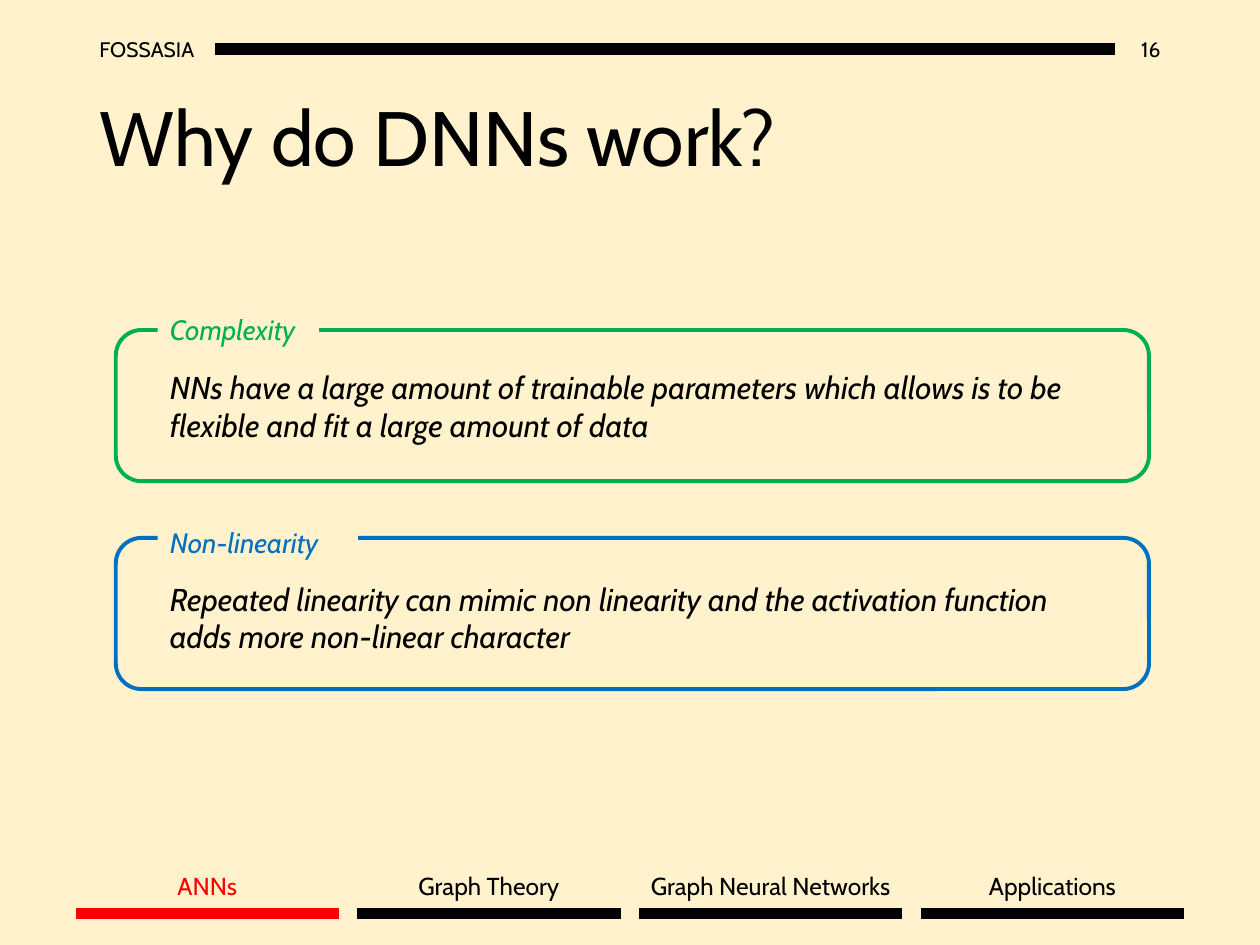
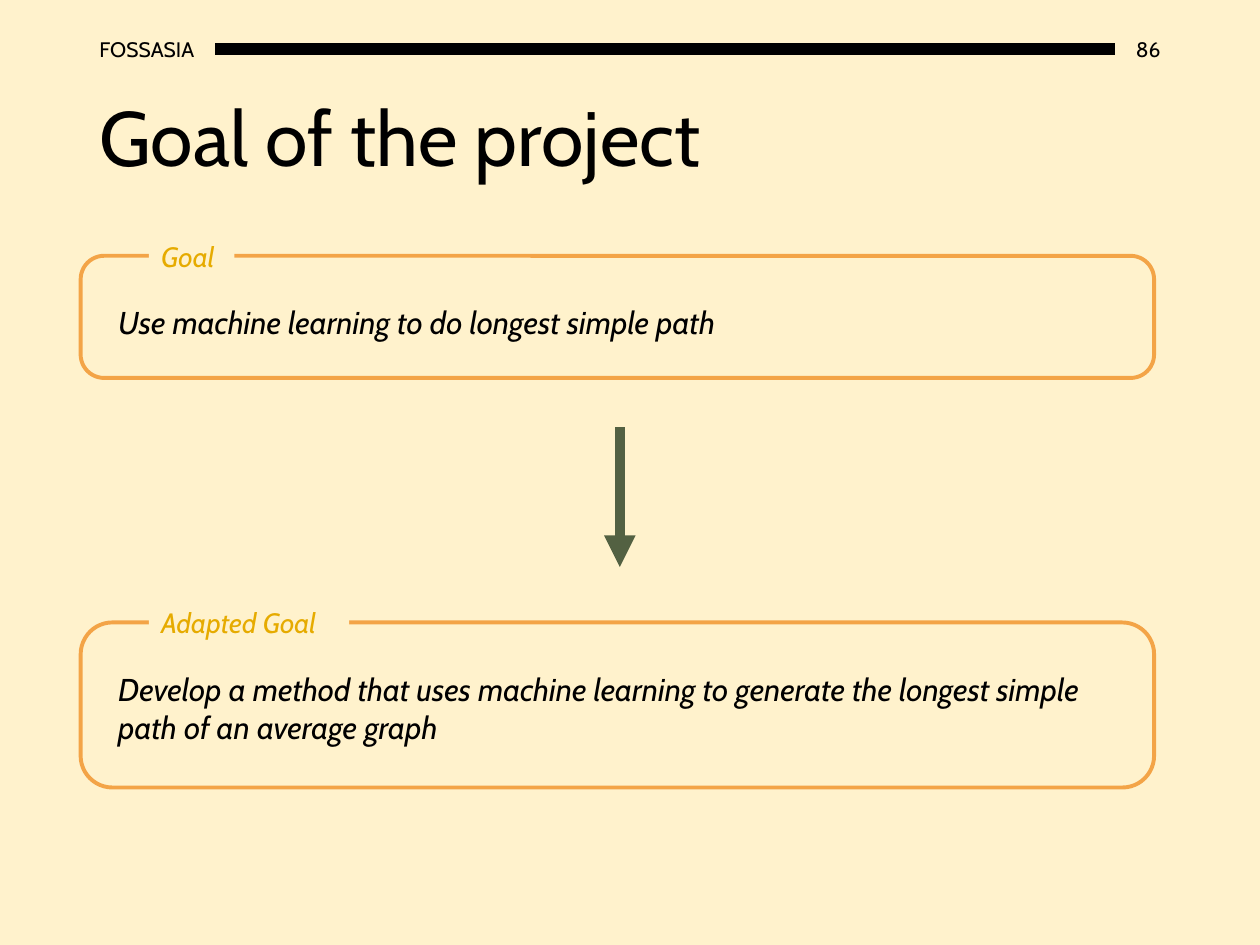
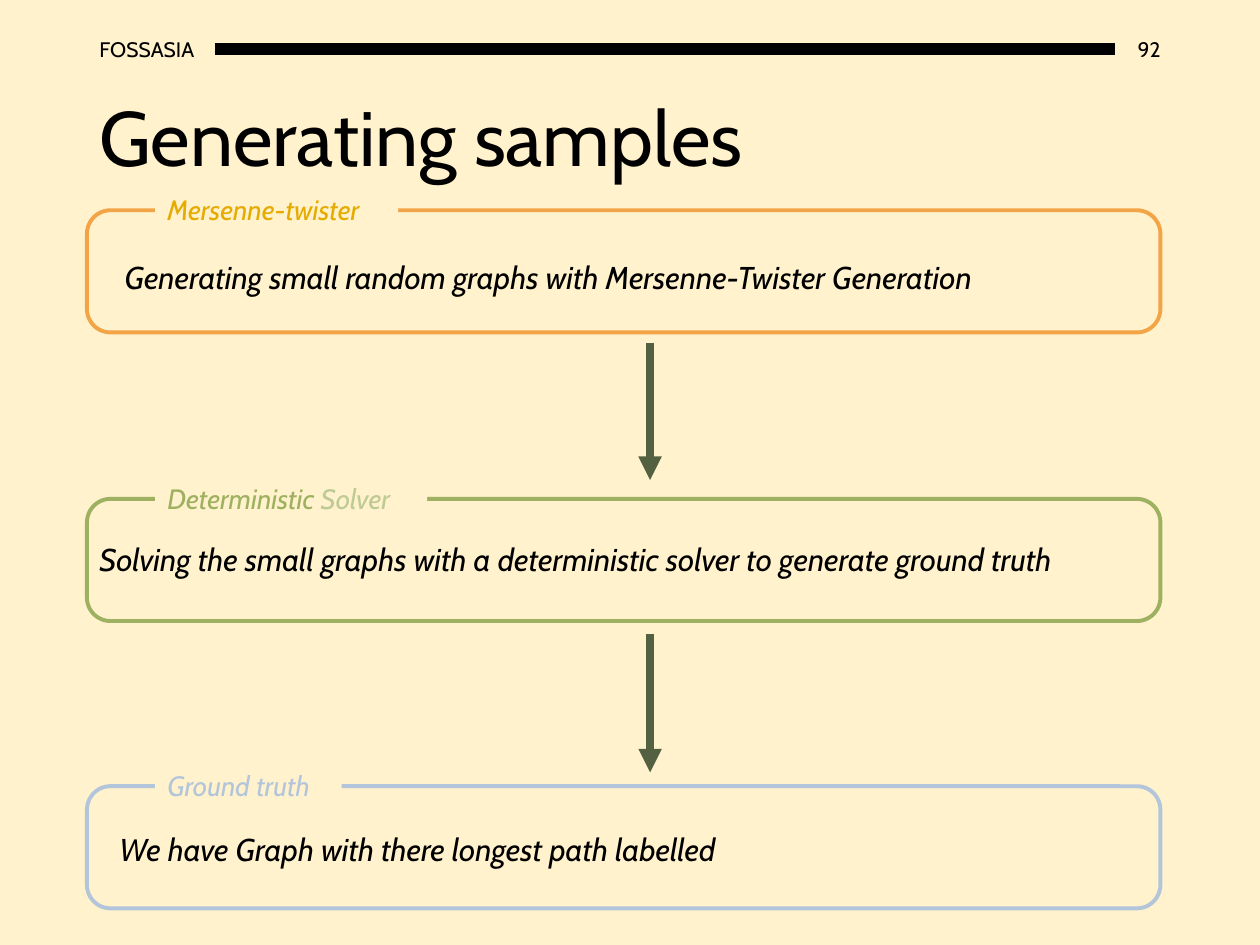
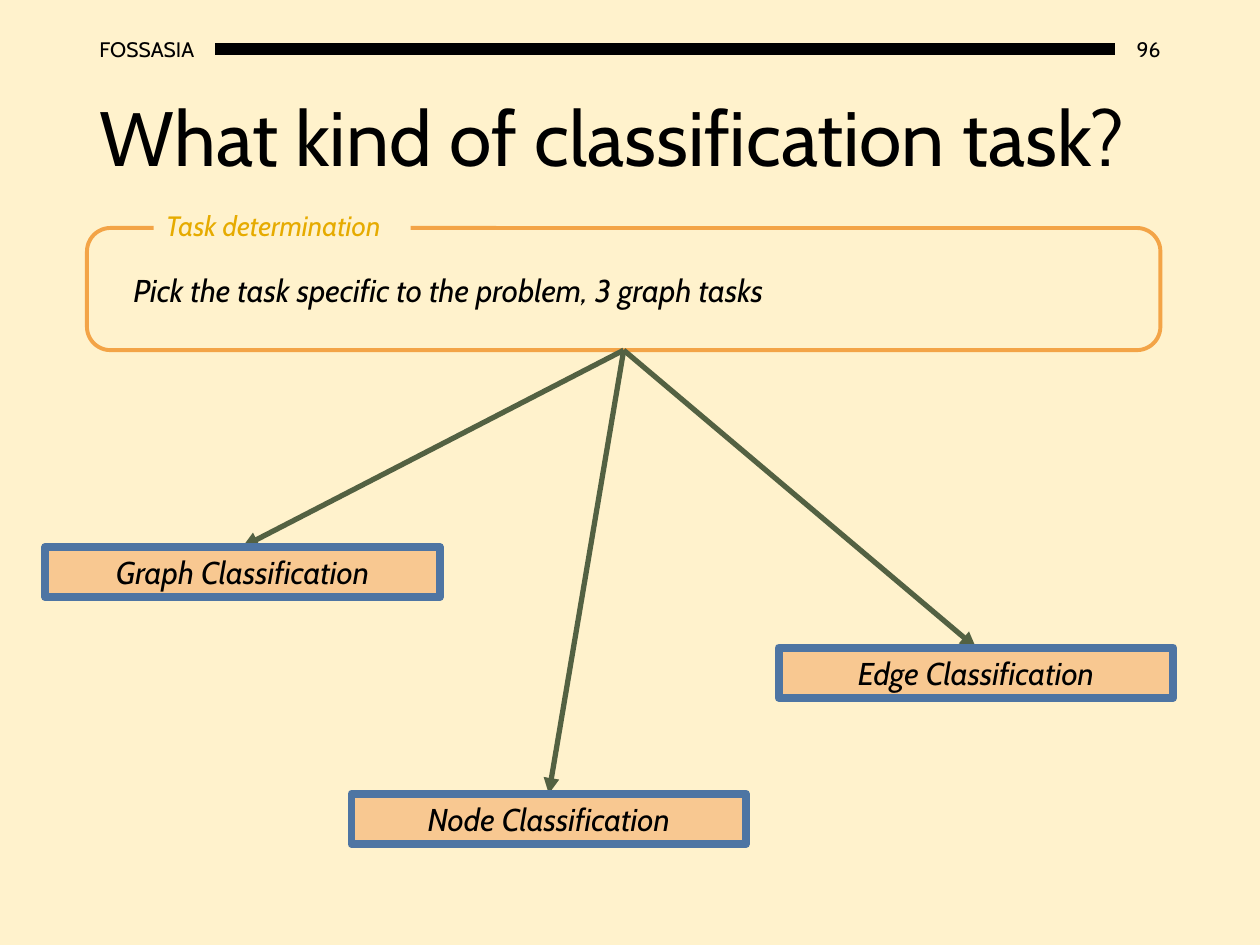
from lxml.etree import SubElement
from pptx import Presentation
from pptx.dml.color import RGBColor
from pptx.enum.shapes import MSO_CONNECTOR, MSO_SHAPE
from pptx.enum.text import MSO_ANCHOR, MSO_AUTO_SIZE, PP_ALIGN
from pptx.oxml.ns import qn
from pptx.util import Pt

FONT = "Cabin"
CREAM = RGBColor(0xFF, 0xF2, 0xCC)
BLACK = RGBColor(0x00, 0x00, 0x00)
RED = RGBColor(0xFF, 0x00, 0x00)
GREEN = RGBColor(0x00, 0xB0, 0x50)
BLUE = RGBColor(0x00, 0x70, 0xC0)
ORANGE = RGBColor(0xF3, 0xA4, 0x47)
GOLD = RGBColor(0xE6, 0xAB, 0x00)
OLIVE = RGBColor(0x9E, 0xB1, 0x60)
SAGE = RGBColor(0xBE, 0xCB, 0x95)
SKY = RGBColor(0xB3, 0xC5, 0xDA)
MOSS = RGBColor(0x53, 0x61, 0x42)
PEACH = RGBColor(0xF8, 0xC8, 0x91)
STEEL = RGBColor(0x4E, 0x75, 0xA3)

ROW, ROWS = 28.8, 51.1  # height of one and of two lines of body text


class Deck:
    def __init__(self):
        self.prs = Presentation()
        self.prs.slide_width, self.prs.slide_height = Pt(720), Pt(540)
        fill = self.prs.slide_master.background.fill
        fill.solid()
        fill.fore_color.rgb = CREAM

    def page(self, title, number):
        """Start a slide with its title and top band."""
        slide = self.prs.slides.add_slide(self.prs.slide_layouts[5])
        self.shapes = slide.shapes
        self.text(number, (637.2, 13.7, 33.1, ROW), 12,
                  align=PP_ALIGN.RIGHT, anchor=MSO_ANCHOR.MIDDLE)
        self.text("FOSSASIA", (49.7, 13.7, 73.4, ROW), 12,
                  anchor=MSO_ANCHOR.MIDDLE)
        self.line((123.1, 28.1), (637.2, 28.1), BLACK, 7)
        head = slide.shapes.title
        head.left, head.top, head.width, head.height = map(
            Pt, (49.7, 28.8, 620.6, 104.4))
        self.letter(head, title, 44, anchor=MSO_ANCHOR.MIDDLE, grow=False)
        head.text_frame.paragraphs[0].line_spacing = 0.9

    def style(self, run, size, color, slant=False):
        font = run.font
        font.name, font.size, font.italic = FONT, Pt(size), slant
        font.color.rgb = color

    def letter(self, shape, words, size, color=BLACK, slant=False,
               align=PP_ALIGN.LEFT, anchor=MSO_ANCHOR.TOP, grow=True, wrap=True):
        """Put styled words into a shape."""
        frame = shape.text_frame
        frame.text = words
        frame.word_wrap = wrap
        frame.vertical_anchor = anchor
        frame.auto_size = (MSO_AUTO_SIZE.SHAPE_TO_FIT_TEXT if grow
                           else MSO_AUTO_SIZE.NONE)
        para = frame.paragraphs[0]
        para.alignment = align
        self.style(para.runs[0], size, color, slant)

    def text(self, words, box, size, grow=False, **look):
        shape = self.shapes.add_textbox(*map(Pt, box))
        self.letter(shape, words, size, grow=grow, **look)

    def shape(self, kind, box, fill=None, edge=None, width=2.25):
        shape = self.shapes.add_shape(kind, *map(Pt, box))
        shape.shadow.inherit = False
        if fill is None:
            shape.fill.background()
        else:
            shape.fill.solid()
            shape.fill.fore_color.rgb = fill
        if edge is None:
            shape.line.fill.background()
        else:
            shape.line.color.rgb = edge
            shape.line.width = Pt(width)
        return shape

    def line(self, start, end, color, width):
        line = self.shapes.add_connector(
            MSO_CONNECTOR.STRAIGHT, *map(Pt, (*start, *end)))
        line.line.color.rgb = color
        line.line.width = Pt(width)
        SubElement(line._element.spPr, qn("a:effectLst"))
        return line

    def arrow(self, start, end, width):
        line = self.line(start, end, MOSS, width)
        edge = line._element.spPr.find(qn("a:ln"))
        SubElement(edge, qn("a:tailEnd"), type="triangle")

    def card(self, box, edge, label, spot, words, body, ink=None, bend=0.192):
        """Rounded frame with body text and a label (left, top, width) on its edge."""
        frame = self.shape(MSO_SHAPE.ROUNDED_RECTANGLE, box, edge=edge)
        frame.adjustments[0] = bend
        self.text(words, body, 18, grow=True, slant=True)
        tag = self.shape(MSO_SHAPE.RECTANGLE, (*spot, 26.6), CREAM)
        self.letter(tag, label, 16, ink or edge, slant=True)
        return tag

    def plate(self, words, box):
        shape = self.shape(MSO_SHAPE.RECTANGLE, box, PEACH, STEEL, 4.5)
        self.letter(shape, words, 18, slant=True, align=PP_ALIGN.CENTER)

    def tabs(self, items, active):
        """Grouped section bar; items are (name, label width)."""
        outer = self.shapes
        self.shapes = outer.add_group_shape().shapes
        wide, step = 150.5, 161
        for i, (name, span) in enumerate(items):
            left = 43.2 + i * step
            color = RED if name == active else BLACK
            self.line((left, 522), (left + wide, 522), color, 6)
            self.text(name, (left + (wide - span) / 2, 494, span, 24.5), 14,
                      color=color, align=PP_ALIGN.CENTER, grow=True, wrap=False)
        self.shapes = outer


def why(deck):
    deck.page("Why do DNNs work?", "16")
    deck.tabs([("ANNs", 49.7), ("Graph Theory", 98.6),
               ("Graph Neural Networks", 157.7), ("Applications", 88.6)], "ANNs")
    for top, color, label, spot, words, row in (
        (188.6, GREEN, "Complexity", (90, 175, 92.2),
         "NNs have a large amount of trainable parameters which allows is to be "
         "flexible and fit a large amount of data", 206.6),
        (307.4, BLUE, "Non-linearity", (90, 296.6, 114.5),
         "Repeated linearity can mimic non linearity and the activation function "
         "adds more non-linear character", 327.6),
    ):
        deck.card((66.2, top, 590.4, 86.4), color, label, spot,
                  words, (90, row, 552.2, ROWS), bend=0.17)


def goal(deck):
    deck.page("Goal of the project", "86")
    for top, high, label, span, words, rows in (
        (146.2, 69.8, "Goal", 49,
         "Use machine learning to do longest simple path", ROW),
        (355.7, 94.3, "Adapted Goal", 114.5,
         "Develop a method that uses machine learning to generate the longest "
         "simple path of an average graph", ROWS),
    ):
        deck.card((46.1, top, 613.4, high), ORANGE, label, (85, top - 13, span),
                  words, (60.5, top + 23.7, 563.8, rows), GOLD)
    deck.arrow((354.2, 244.1), (354.2, 324), 6)


def samples(deck):
    deck.page("Generating samples", "92")
    tags = []
    for top, color, ink, label, span, words, (left, row, wide) in (
        (120.2, ORANGE, GOLD, "Mersenne-twister", 139,
         "Generating small random graphs with Mersenne-Twister Generation",
         (64.1, 144, 563.8)),
        (285.1, OLIVE, OLIVE, "Deterministic", 155.5,
         "Solving the small graphs with a deterministic solver to generate "
         "ground truth", (49.7, 305.3, 603.4)),
        (449.3, SKY, SKY, "Ground truth", 106.6,
         "We have Graph with there longest path labelled", (61.2, 470.9, 571)),
    ):
        tags.append(deck.card(
            (49.7, top, 613.4, 69.8), color, label, (88.6, top - 13.6, span),
            words, (left, row, wide, ROW), ink))
    run = tags[1].text_frame.paragraphs[0].add_run()
    run.text = " Solver"
    deck.style(run, 16, SAGE, True)
    for top, end in ((195.8, 274.3), (362.2, 441.4)):
        deck.arrow((371.5, top), (371.5, end), 4.5)


def task(deck):
    deck.page("What kind of classification task?", "96")
    deck.card((49.7, 130.3, 613.4, 69.8), ORANGE, "Task determination",
              (87.8, 115.9, 146.9),
              "Pick the task specific to the problem, 3 graph tasks",
              (69.1, 151.2, 581, ROW), GOLD)
    wide = 225.4
    for name, left, top in (("Node", 200.9, 453.6), ("Graph", 25.9, 312.5),
                            ("Edge", 445, 370.1)):
        deck.arrow((356.4, 200.1), (left + wide / 2, top), 3)
        deck.plate(f"{name} Classification", (left, top, wide, ROW))


def main():
    deck = Deck()
    for build in (why, goal, samples, task):
        build(deck)
    deck.prs.save("out.pptx")


if __name__ == "__main__":
    main()
